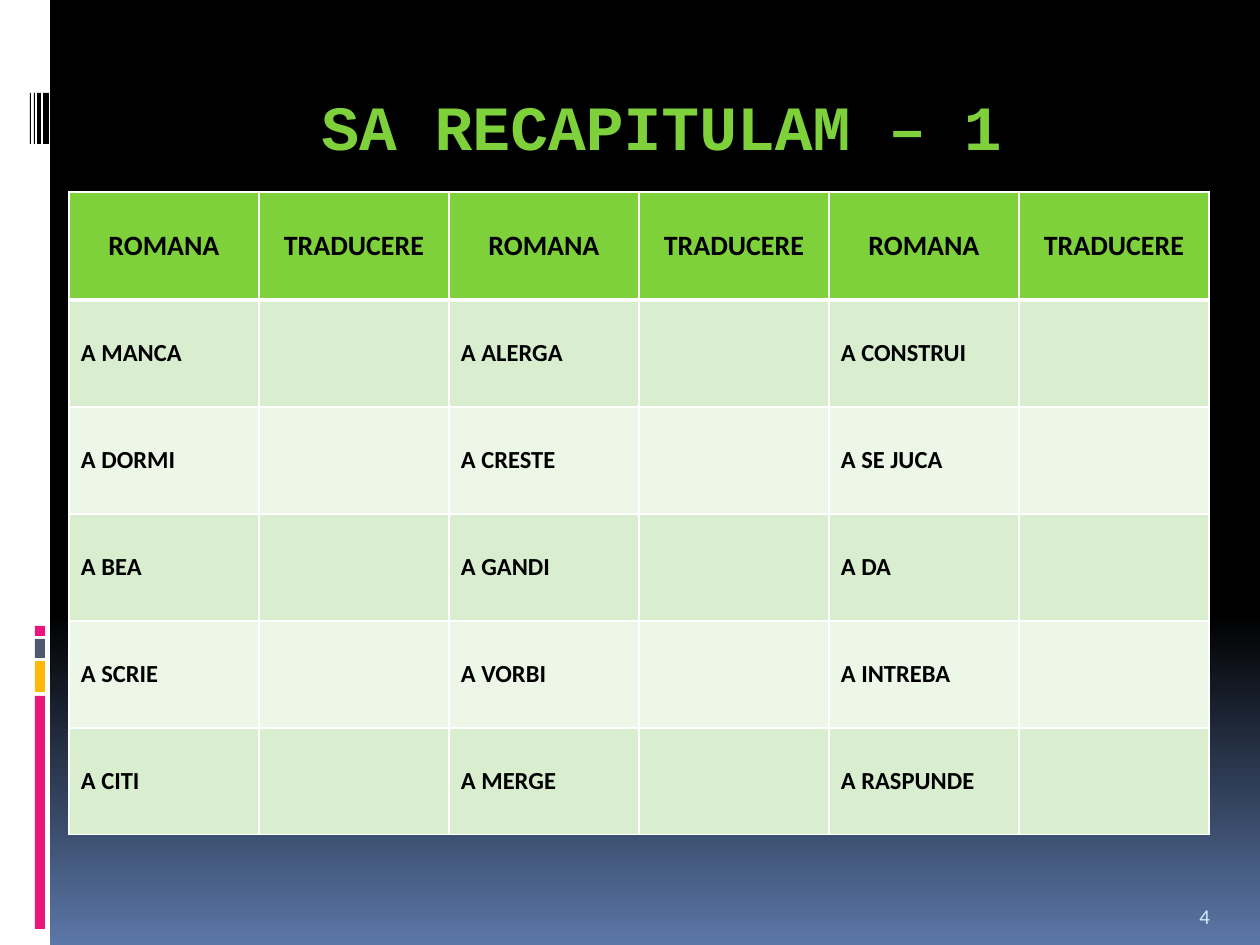
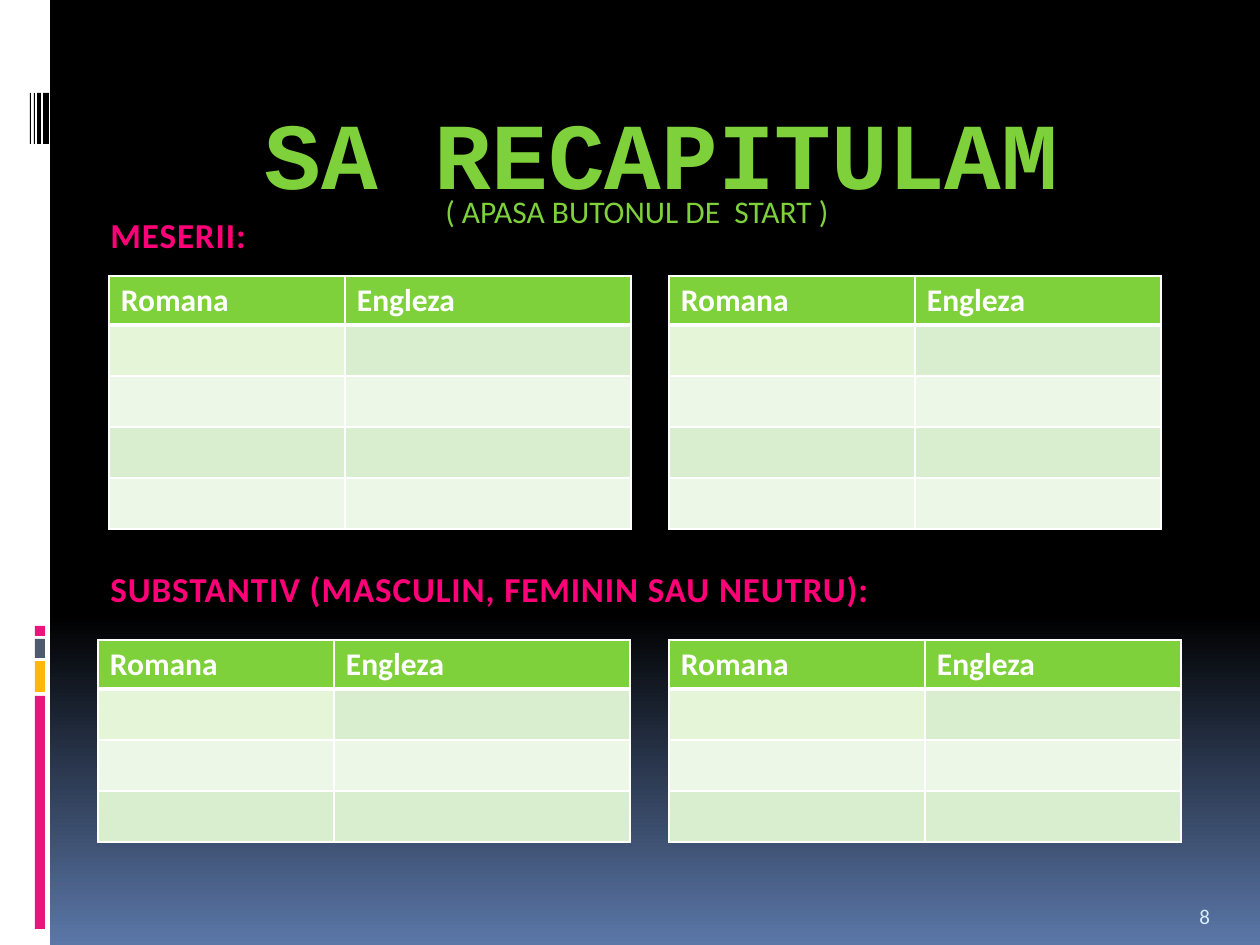
from copy import deepcopy

from lxml import etree
from pptx import Presentation
from pptx import util as u
from pptx.dml.color import RGBColor
from pptx.enum import shapes, text
from pptx.oxml import ns

SCALE = u.Inches(1) / 126
BLACK = RGBColor(0x00, 0x00, 0x00)
WHITE = RGBColor(0xFF, 0xFF, 0xFF)
BLUE = RGBColor(0x5B, 0x77, 0xA8)
GREEN = RGBColor(0x7F, 0xD1, 0x3B)
PINK = RGBColor(0xEA, 0x15, 0x7A)
HOT_PINK = RGBColor(0xFF, 0x00, 0x79)
AMBER = RGBColor(0xFE, 0xB8, 0x0A)
SLATE = RGBColor(0x4E, 0x5B, 0x6F)
PALE_BLUE = RGBColor(0xD6, 0xEC, 0xFF)
BAND_DARK = RGBColor(0xD8, 0xEE, 0xCE)
BAND_LIGHT = RGBColor(0xEC, 0xF7, 0xE8)
BAND_FIRST = RGBColor(0xE5, 0xF6, 0xD8)

SIDE_BAND = [(0, 0, 50, 945, WHITE)]
SIDE_BAND += [(35, top, 10, height, color) for top, height, color in
              [(696, 233, PINK), (661, 31, AMBER), (639, 19, SLATE), (626, 10, PINK)]]
SIDE_BAND += [(left, 93, width, 51, BLACK)
              for left, width in [(43, 6), (37, 4), (34, 1), (30, 1)]]

VERBS = [
    ["A MANCA", "A ALERGA", "A CONSTRUI"],
    ["A DORMI", "A CRESTE", "A SE JUCA"],
    ["A BEA", "A GANDI", "A DA"],
    ["A SCRIE", "A VORBI", "A INTREBA"],
    ["A CITI", "A MERGE", "A RASPUNDE"],
]
BLANK_TABLES = [
    (109, 276, [236, 286], 4),
    (669, 276, [246, 246], 4),
    (98, 640, [236, 296], 3),
    (669, 640, [256, 256], 3),
]


def px(length):
    return u.Emu(round(length * SCALE))


class Deck:
    def __init__(self):
        self.file = Presentation()
        self.file.slide_width, self.file.slide_height = px(1260), px(945)
        self.layout = self.file.slide_layouts[5]
        self.page = None
        self.background()

    def background(self):
        fill = self.layout.background.fill
        fill.gradient()
        fill.gradient_angle = 270
        for stop, position, color in zip(fill.gradient_stops, (0.65, 1), (BLACK, BLUE)):
            stop.position = position
            stop.color.rgb = color
        stops = self.layout.element.find(".//" + ns.qn("a:gsLst"))
        first = deepcopy(stops[0])
        first.set("pos", "0")
        stops.insert(0, first)

    def new_page(self, number):
        self.page = self.file.slides.add_slide(self.layout)
        for bar in SIDE_BAND:
            self.bar(*bar)
        self.label(1187, 885, 63, 50, number, 12, PALE_BLUE,
                   anchor=text.MSO_ANCHOR.BOTTOM)

    def bar(self, left, top, width, height, color):
        box = self.page.shapes.add_shape(
            shapes.MSO_SHAPE.RECTANGLE, px(left), px(top), px(width), px(height))
        box.shadow.inherit = False
        box.fill.solid()
        box.fill.fore_color.rgb = color
        box.line.fill.background()

    def add_words(self, para, words, size, color, bold=False, name="Calibri", align=None):
        para.alignment = align
        span = para.add_run()
        span.text = words
        for key, value in {"name": name, "size": u.Pt(size), "bold": bold}.items():
            setattr(span.font, key, value)
        span.font.color.rgb = color
        return span

    def title(self, words, size, inset):
        box = self.page.shapes.title
        place = {"left": 126, "top": 71, "width": 1071, "height": 127}
        for key, value in place.items():
            setattr(box, key, px(value))
        frame = box.text_frame
        style = {"auto_size": text.MSO_AUTO_SIZE.NONE, "word_wrap": True,
                 "vertical_anchor": text.MSO_ANCHOR.TOP,
                 "margin_top": px(inset), "margin_bottom": 0}
        for key, value in style.items():
            setattr(frame, key, value)
        self.add_words(frame.paragraphs[0], words, size, GREEN, True, "Courier New",
                       text.PP_ALIGN.CENTER)

    def label(self, left, top, width, height, words, size, color, bold=False,
              anchor=text.MSO_ANCHOR.TOP):
        box = self.page.shapes.add_textbox(px(left), px(top), px(width), px(height))
        box.text_frame.word_wrap = True
        box.text_frame.vertical_anchor = anchor
        return self.add_words(box.text_frame.paragraphs[0], words, size, color, bold)

    def heading(self, top, width, words):
        span = self.label(98, top, width, 55, words, 20, HOT_PINK, True)
        span._r.get_or_add_rPr().set("spc", "50")

    def borders(self, cell, row):
        properties = cell._tc.get_or_add_tcPr()
        widths = {"L": 1, "R": 1, "T": 3 if row == 1 else 1, "B": 3 if row == 0 else 1}
        for side, points in widths.items():
            line = etree.SubElement(properties, ns.qn("a:ln" + side), w=str(int(u.Pt(points))))
            fill = etree.SubElement(line, ns.qn("a:solidFill"))
            etree.SubElement(fill, ns.qn("a:srgbClr"), val=str(WHITE))

    def table(self, left, top, widths, heights, rows, header, body, first=BAND_DARK):
        table = self.page.shapes.add_table(
            len(rows), len(widths), px(left), px(top),
            px(sum(widths)), px(sum(heights))).table
        for column, width in zip(table.columns, widths):
            column.width = px(width)
        for row, height in zip(table.rows, heights):
            row.height = px(height)
        for r, row in enumerate(rows):
            for c, words in enumerate(row):
                cell = table.cell(r, c)
                self.borders(cell, r)
                cell.fill.solid()
                band = BAND_DARK if r % 2 else BAND_LIGHT
                if (r, c) == (1, 0):
                    band = first
                cell.fill.fore_color.rgb = band if r else GREEN
                cell.vertical_anchor = text.MSO_ANCHOR.MIDDLE
                cell.margin_left = cell.margin_right = px(12)
                cell.margin_top = cell.margin_bottom = px(5)
                if words:
                    style = body if r else header
                    self.add_words(cell.text_frame.paragraphs[0], words, bold=True, **style)


def verbs_page(deck):
    deck.new_page("4")
    deck.title("SA RECAPITULAM – 1", 36, 16)
    rows = [["ROMANA", "TRADUCERE"] * 3]
    rows += [[cell for verb in verbs for cell in (verb, "")] for verbs in VERBS]
    header = {"size": 16, "color": BLACK, "align": text.PP_ALIGN.CENTER}
    deck.table(69, 192, [190] * 6, [108] + [107] * 5, rows, header,
               {"size": 14, "color": BLACK})


def nouns_page(deck):
    deck.new_page("8")
    deck.title("SA RECAPITULAM", 54, 24)
    deck.label(433, 186, 444, 50, "( APASA BUTONUL DE  START )", 18, GREEN)
    deck.heading(207, 473, "MESERII:")
    deck.heading(561, 886, "SUBSTANTIV (MASCULIN, FEMININ SAU NEUTRU):")
    style = {"size": 18, "color": WHITE}
    for left, top, widths, blanks in BLANK_TABLES:
        rows = [["Romana", "Engleza"]] + [["", ""]] * blanks
        deck.table(left, top, widths, [49] + [51] * blanks, rows, style, style, BAND_FIRST)


def main():
    deck = Deck()
    verbs_page(deck)
    nouns_page(deck)
    deck.file.save("out.pptx")


if __name__ == "__main__":
    main()
